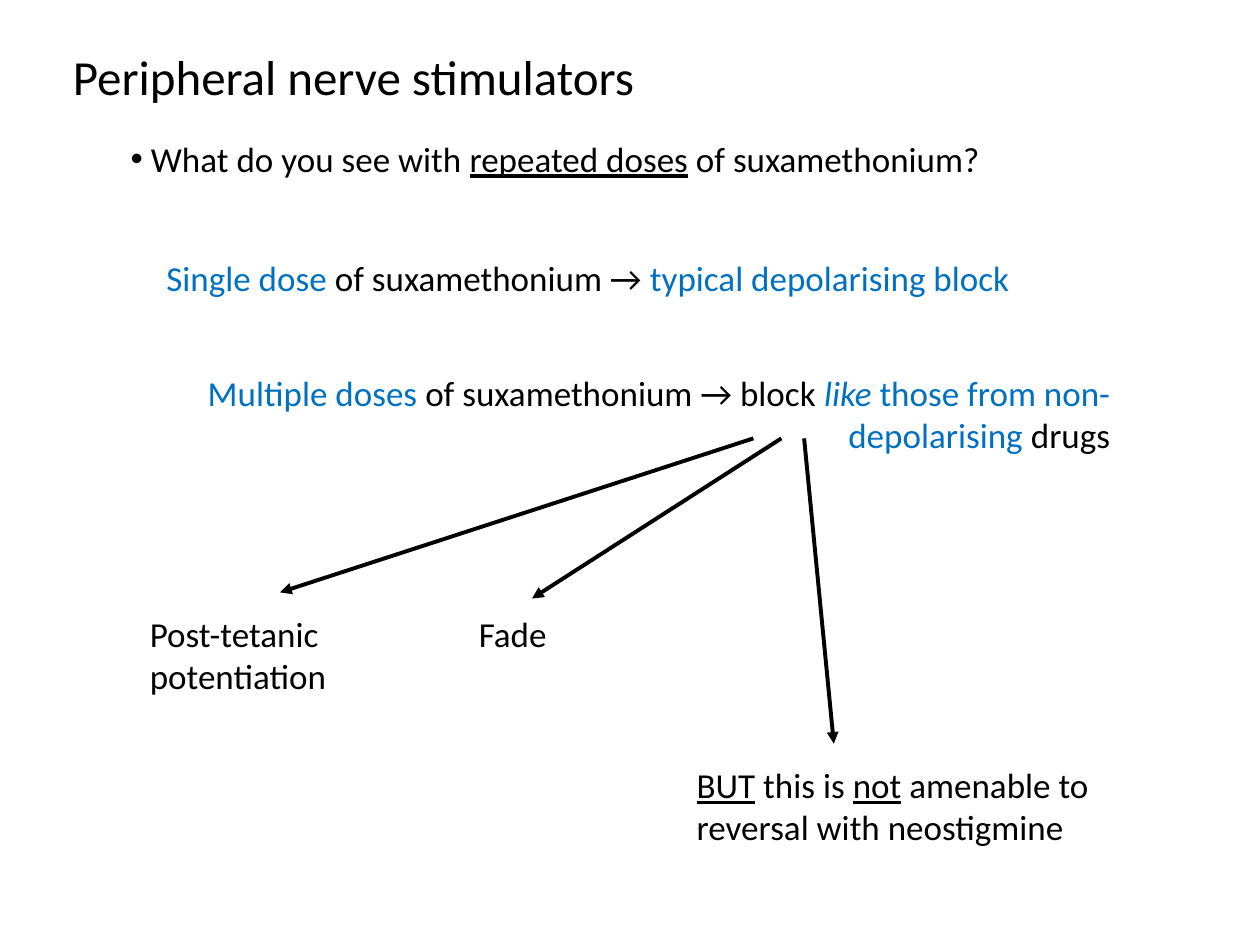
import pptx
import pptx.dml.color
import pptx.enum.shapes
import pptx.enum.text
import pptx.oxml
import pptx.oxml.ns
import pptx.util

Pt = pptx.util.Pt
RGBColor = pptx.dml.color.RGBColor
PP_ALIGN = pptx.enum.text.PP_ALIGN

BLACK = RGBColor(0x00, 0x00, 0x00)
BLUE = RGBColor(0x00, 0x70, 0xC0)
FONT = "Calibri"
BODY_SIZE = 20
ARROW_TOP = 250.5


def add_element(parent, xml):
    ns = pptx.oxml.ns.nsdecls("a")
    tag, _, rest = xml.partition(" ")
    parent.append(pptx.oxml.parse_xml(f"<a:{tag} {ns} {rest}/>"))


def fill_text(shape, box, runs, size=BODY_SIZE, align=PP_ALIGN.LEFT, bullet_indent=None):
    shape.left, shape.top, shape.width, shape.height = map(Pt, box)
    tf = shape.text_frame
    tf.word_wrap = True
    tf.auto_size = pptx.enum.text.MSO_AUTO_SIZE.NONE
    tf.vertical_anchor = pptx.enum.text.MSO_ANCHOR.TOP
    p = tf.paragraphs[0]
    p.alignment = align
    p.space_before = Pt(0)
    if bullet_indent:
        pPr = p._p.get_or_add_pPr()
        pPr.set("marL", str(Pt(bullet_indent)))
        pPr.set("indent", str(-Pt(bullet_indent)))
        add_element(pPr, 'buFont typeface="Arial"')
        add_element(pPr, 'buChar char="•"')
    p.font.name = FONT
    p.font.size = Pt(size)
    p.font.color.rgb = BLACK
    for text, style in runs:
        r = p.add_run()
        r.text = text
        if "color" in style:
            r.font.color.rgb = style["color"]
        if "underline" in style:
            r.font.underline = True
        if "italic" in style:
            r.font.italic = True


def add_text(s, box, runs, **options):
    fill_text(s.shapes.add_textbox(0, 0, 0, 0), box, runs, **options)


def add_arrow(s, x1, x2, y2):
    line = s.shapes.add_connector(
        pptx.enum.shapes.MSO_CONNECTOR.STRAIGHT, Pt(x1), Pt(ARROW_TOP), Pt(x2), Pt(y2))
    line.line.color.rgb = BLACK
    line.line.width = Pt(2.25)
    add_element(line.line._get_or_add_ln(), 'tailEnd type="triangle"')
    add_element(line._element.spPr, "effectLst")


def main():
    prs = pptx.Presentation()
    prs.slide_width, prs.slide_height = Pt(720), Pt(540)
    s = prs.slides.add_slide(prs.slide_layouts[1])
    plain, blue, underlined = {}, {"color": BLUE}, {"underline": True}

    fill_text(s.shapes.title, (34.5, 23, 364, 41),
              [("Peripheral nerve stimulators", plain)], size=28)
    fill_text(s.placeholders[1], (67.5, 75, 541.5, 31), [
        ("What do you see with ", plain),
        ("repeated doses", underlined),
        (" of suxamethonium?", plain),
    ], bullet_indent=11.5)
    add_text(s, (88, 142.75, 499, 31.5), [
        ("Single dose ", blue),
        ("of suxamethonium → ", plain),
        ("typical depolarising block", blue),
    ])
    add_text(s, (70, 209, 571.5, 55.5), [
        ("Multiple doses ", blue),
        ("of suxamethonium → block ", plain),
        ("like", {"color": BLUE, "italic": True}),
        (" those from non-depolarising ", blue),
        ("drugs", plain),
    ], align=PP_ALIGN.RIGHT)

    for x1, x2, y2 in ((430.5, 160, 338.5), (446.5, 304, 342), (459.5, 476.5, 425)):
        add_arrow(s, x1, x2, y2)

    add_text(s, (78.5, 346.5, 159, 55.5), [("Post-tetanic potentiation", plain)])
    add_text(s, (266.5, 346.5, 77, 31), [("Fade", plain)])
    add_text(s, (391, 433, 261.5, 55.5), [
        ("BUT", underlined),
        (" this is ", plain),
        ("not", underlined),
        (" amenable to reversal with neostigmine", plain),
    ])
    prs.save("out.pptx")


if __name__ == "__main__":
    main()
